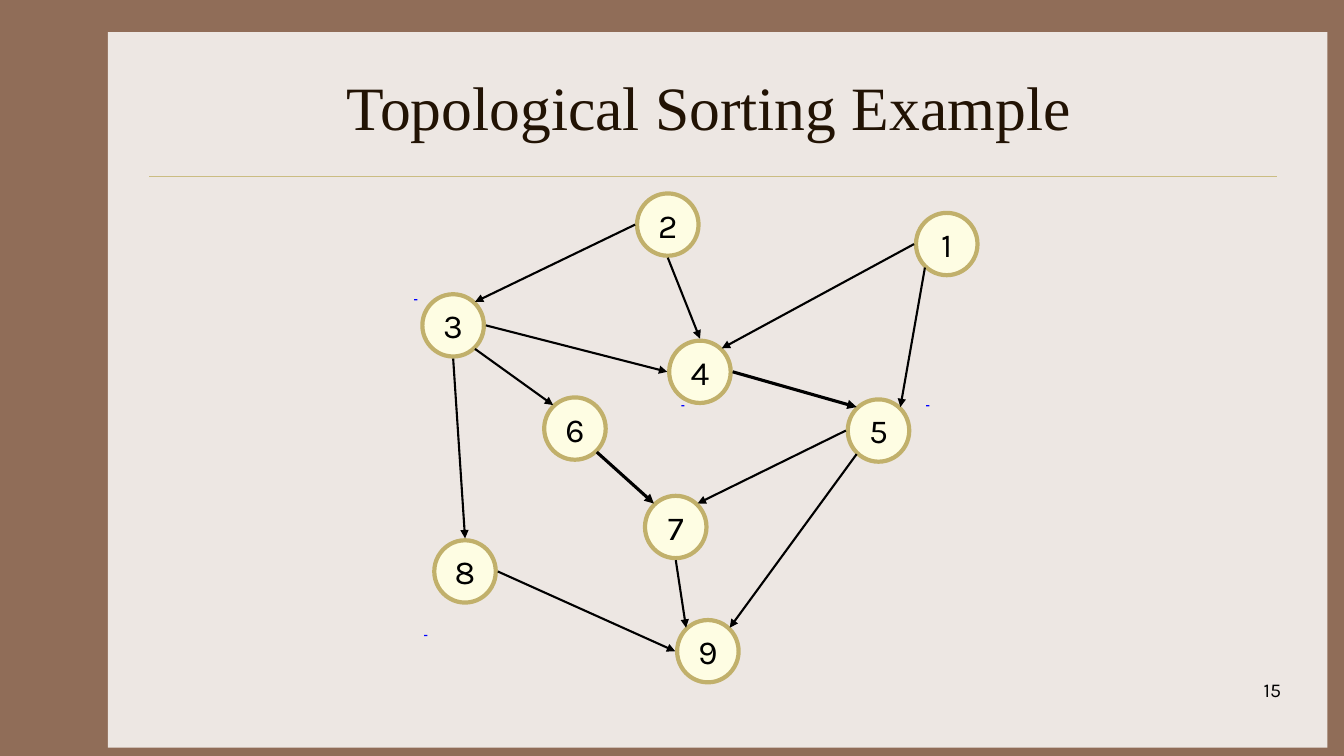
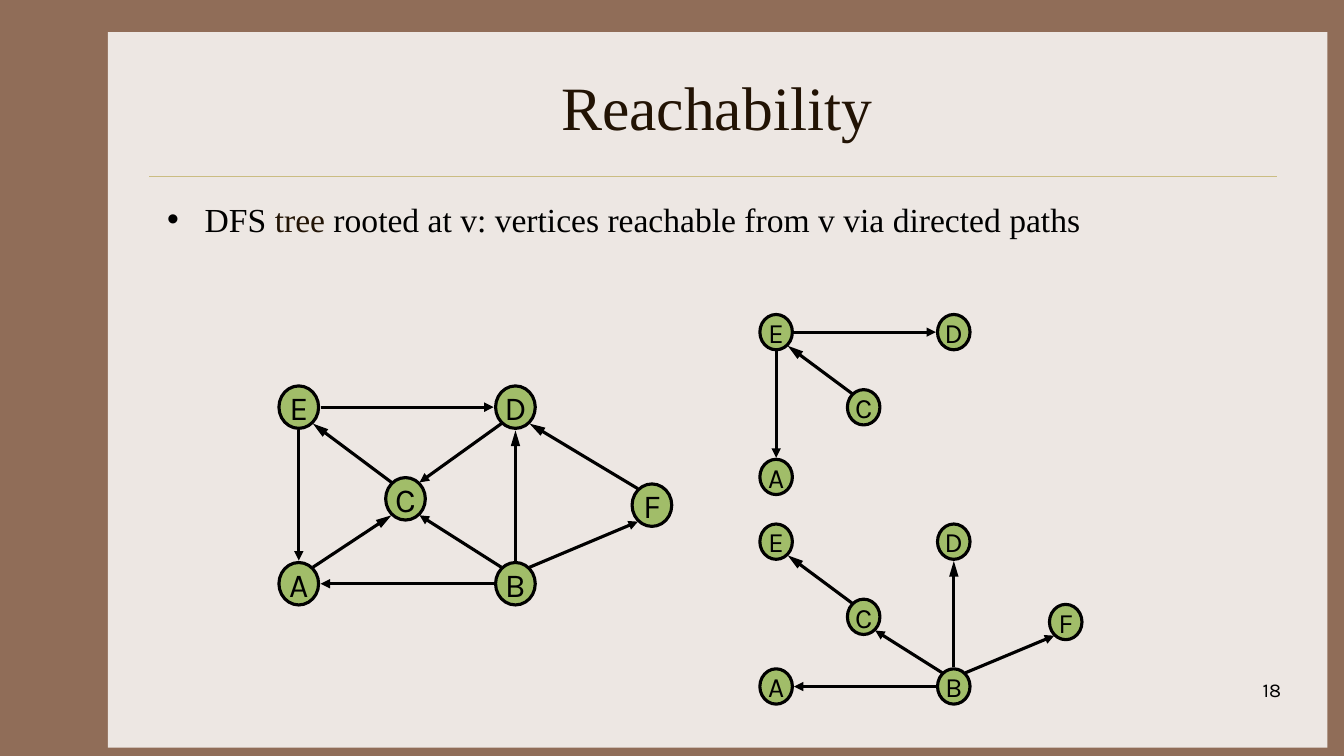
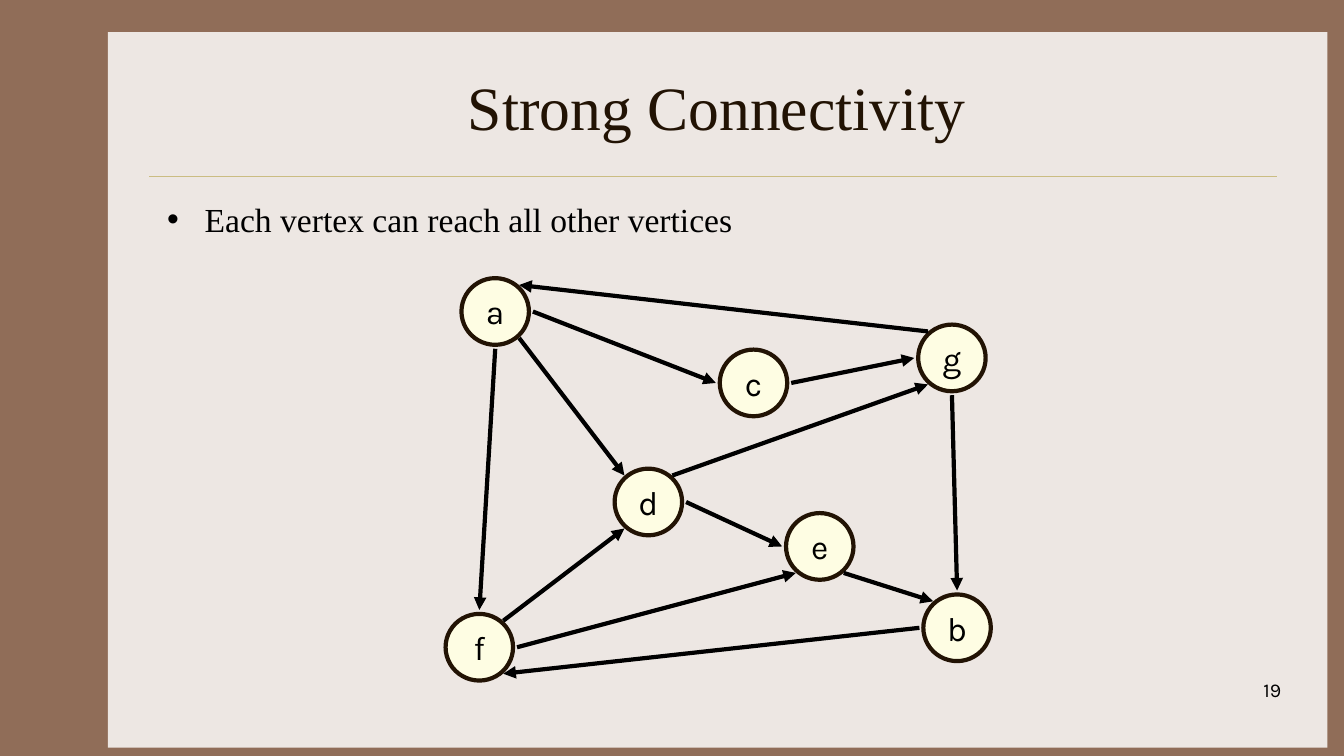
"""Build three slides on directed graphs."""
from pptx import Presentation
from pptx.dml.color import RGBColor
from pptx.enum.shapes import MSO_CONNECTOR, MSO_SHAPE
from pptx.enum.text import MSO_ANCHOR, MSO_AUTO_SIZE, PP_ALIGN
from pptx.oxml.ns import qn
from pptx.util import Cm, Pt
from lxml import etree

STRAIGHT = MSO_CONNECTOR.STRAIGHT
OVAL, RECTANGLE = MSO_SHAPE.OVAL, MSO_SHAPE.RECTANGLE
MIDDLE, NO_FIT = MSO_ANCHOR.MIDDLE, MSO_AUTO_SIZE.NONE
LEFT, CENTER, RIGHT = PP_ALIGN.LEFT, PP_ALIGN.CENTER, PP_ALIGN.RIGHT

COLORS = {
    "frame": "906D58", "panel": "EDE7E3", "rule": "CBBD83",
    "dark": "221304", "black": "000000", "cream": "FEFDE3",
    "gold": "C1B06B", "green": "A1BD69", "blue": "0000FF",
}
SERIF, SANS = "Times New Roman", "Karla"

PANEL = (2.72, 0.81, 30.73, 18.03)
RULE = (3.76, 4.45, 32.18, 4.45)
TITLE = (3.96, 1.07, 28.22, 3.18)
BODY = (3.96, 4.88, 28.22, 11.43)
NUMBER = (25.48, 16.97, 7.06, 1.27)

SPECK_SIZE = (0.08, 0.03)
SPECKS = [(10.44, 7.54), (17.17, 10.21), (23.34, 10.21), (10.69, 16.0)]

TITLE_FRAME = {"word_wrap": True, "auto_size": NO_FIT,
               "vertical_anchor": MIDDLE}
VERTEX_FRAME = {"word_wrap": False, "vertical_anchor": MIDDLE,
                "margin_left": 0, "margin_right": 0,
                "margin_top": 0, "margin_bottom": 0}

STYLES = {
    "order": {"size": (1.55, 1.57), "gap": 0.05, "fill": "cream",
              "outline": "gold", "border": 3, "edge": 1.5, "text": 24},
    "reach": {"size": (1.0, 1.07), "gap": 0.05, "fill": "green",
              "outline": "black", "border": 2.25, "edge": 2.25, "text": 24},
    "strong": {"size": (1.7, 1.68), "gap": 0.1, "fill": "cream",
               "outline": "dark", "border": 3, "edge": 3, "text": 24},
}
STYLES["subtree"] = {**STYLES["reach"], "size": (0.82, 0.89), "gap": 0.04,
                     "text": 20}

ORDER_NODES = {
    "1": (23.86, 6.15), "2": (16.83, 5.66), "3": (11.42, 8.2),
    "4": (17.64, 9.37), "5": (22.14, 10.85), "6": (14.49, 10.8),
    "7": (17.03, 13.28), "8": (11.72, 14.4), "9": (17.84, 16.41),
}
ORDER_EDGES = [
    "2 w 3 ne", "2 s 4 n", "1 w 4 ne", "5 w 7 ne", "5 sw 9 ne", "8 e 9 w",
    "7 s 9 nw", "6 se 7 nw", "3 se 6 nw", "3 s 8 n", "3 e 4 w", "4 e 5 nw",
    "1 sw 5 ne",
]
HEAVY_EDGES = {"6 se 7 nw", "4 e 5 nw"}

REACH_NODES = {
    "A": (0, 4.45), "B": (5.46, 4.45), "C": (2.69, 2.31),
    "D": (5.46, 0), "E": (0, 0), "F": (8.9, 2.47),
}
REACH_EDGES = [
    "F nw D se", "B w A e", "C nw E se", "E e D w", "B n D s", "A ne C sw",
    "D sw C ne", "E s A n", "B ne F sw", "B nw C se",
]
FROM_C = ["C nw E se", "E e D w", "E s A n"]
FROM_B = ["B w A e", "C nw E se", "B n D s", "B ne F sw", "B nw C se"]
LONG_HEADS = {"F nw D se", "C nw E se", "B n D s", "A ne C sw"}

STRONG_NODES = {
    "a": (12.48, 7.85), "b": (24.12, 15.82), "c": (18.99, 9.65),
    "d": (16.34, 12.65), "e": (20.66, 13.77), "f": (12.08, 16.31),
    "g": (23.99, 9.02),
}
STRONG_EDGES = [
    "a s f n", "a se d nw", "a e c w", "g nw a ne", "c e g w", "g s b n",
    "d e e w", "e se b nw", "f ne d sw", "f e e sw", "b w f se", "d ne g sw",
]


def place(names, origin, scale):
    """Give the chosen reachability vertices their places on the slide."""
    return {name: tuple(start + scale * step for start, step
                        in zip(origin, REACH_NODES[name])) for name in names}


SLIDES = [
    {"title": "Topological Sorting Example ", "number": "15", "body": [],
     "specks": SPECKS, "graphs": [("order", ORDER_NODES, ORDER_EDGES)]},
    {"title": "Reachability", "number": "18",
     "body": [("DFS ", "black"), ("tree", "dark"),
              (" rooted at v: vertices reachable from v via directed paths",
               "black")],
     "specks": [],
     "graphs": [
         ("reach", place("ABCDEF", (7.53, 10.26), 1), REACH_EDGES),
         ("subtree", place("ACDE", (19.56, 8.37), 0.82), FROM_C),
         ("subtree", place("ABCDEF", (19.56, 13.65), 0.82), FROM_B)]},
    {"title": "Strong Connectivity", "number": "19",
     "body": [("Each vertex can reach all other vertices", "black")],
     "specks": [], "graphs": [("strong", STRONG_NODES, STRONG_EDGES)]},
]


def color(name):
    return RGBColor.from_string(COLORS[name])


def lengths(values):
    return [Cm(value) for value in values]


def apply(target, values):
    for key, value in values.items():
        setattr(target, key, value)


def write(para, spans, font, size, align):
    """Fill a paragraph with coloured spans of text."""
    para.alignment = align
    for text, shade in spans:
        span = para.add_run()
        span.text = text
        apply(span.font, {"name": font, "size": Pt(size), "bold": False})
        span.font.color.rgb = color(shade)


def add_shape(page, kind, box, fill, outline=None, border=0):
    shape = page.shapes.add_shape(kind, *lengths(box))
    shape.shadow.inherit = False
    shape.fill.solid()
    shape.fill.fore_color.rgb = color(fill)
    if outline:
        shape.line.color.rgb = color(outline)
        shape.line.width = Pt(border)
    else:
        shape.line.fill.background()
    return shape


def add_line(page, ends, shade, width):
    line = page.shapes.add_connector(STRAIGHT, *lengths(ends))
    line.line.color.rgb = color(shade)
    line.line.width = Pt(width)
    etree.SubElement(line._element.spPr, qn("a:effectLst"))
    return line


def add_text(page, box, spans, font, size, align):
    frame = page.shapes.add_textbox(*lengths(box)).text_frame
    frame.word_wrap = True
    write(frame.paragraphs[0], spans, font, size, align)
    return frame.paragraphs[0]


def add_bullet(para):
    props = para._p.get_or_add_pPr()
    props.set("marL", str(Cm(0.95)))
    props.set("indent", str(-Cm(0.95)))
    etree.SubElement(props, qn("a:buFont"), typeface="Arial")
    etree.SubElement(props, qn("a:buChar"), char="•")


def site(center, side, style):
    """Find the point beside a vertex on the given compass side."""
    half_width, half_height = (length / 2 for length in style["size"])
    across = ("e" in side) - ("w" in side)
    down = ("s" in side) - ("n" in side)
    reach_x, reach_y = half_width + style["gap"], half_height + style["gap"]
    if across and down:
        reach_x, reach_y = half_width * 0.71, reach_y * 0.71
    return center[0] + across * reach_x, center[1] + down * reach_y


def add_graph(page, style_name, nodes, edges):
    """Draw the lettered vertices and the arrows between them."""
    style = STYLES[style_name]
    width, height = style["size"]
    for name, (x, y) in nodes.items():
        box = (x - width / 2, y - height / 2, width, height)
        vertex = add_shape(page, OVAL, box, style["fill"], style["outline"],
                           style["border"])
        frame = vertex.text_frame
        apply(frame, VERTEX_FRAME)
        write(frame.paragraphs[0], [(name, "black")], SANS, style["text"],
              CENTER)
    for edge in edges:
        source, leave, target, enter = edge.split()
        ends = site(nodes[source], leave, style) + site(nodes[target], enter, style)
        weight = 2.25 if edge in HEAVY_EDGES else style["edge"]
        arrow = add_line(page, ends, "black", weight)
        etree.SubElement(arrow.line._get_or_add_ln(), qn("a:tailEnd"),
                         type="triangle", w="med",
                         len="lg" if edge in LONG_HEADS else "med")


def prepare_layout(layout, page):
    """Draw the panel and rule once and hand them to the layout."""
    parts = [add_shape(page, RECTANGLE, PANEL, "panel"),
             add_line(page, RULE, "rule", 0.25)]
    for index, part in enumerate(parts, start=2):
        layout.shapes._spTree.insert(index, part._element)
    sides = ("left", "top", "width", "height")
    apply(layout.placeholders[0], dict(zip(sides, lengths(TITLE))))


def add_slide(page, content):
    frame = page.shapes.title.text_frame
    apply(frame, TITLE_FRAME)
    write(frame.paragraphs[0], [(content["title"], "dark")], SERIF, 44, CENTER)
    if content["body"]:
        add_bullet(add_text(page, BODY, content["body"], SERIF, 24, LEFT))
    add_text(page, NUMBER, [(content["number"], "black")], SANS, 14, RIGHT)
    for speck in content["specks"]:
        add_shape(page, RECTANGLE, speck + SPECK_SIZE, "blue")
    for graph in content["graphs"]:
        add_graph(page, *graph)


def main():
    deck = Presentation()
    deck.slide_width, deck.slide_height = Cm(33.87), Cm(19.05)
    background = deck.slide_master.background.fill
    background.solid()
    background.fore_color.rgb = color("frame")
    layout = deck.slide_layouts[5]
    pages = [deck.slides.add_slide(layout) for _ in SLIDES]
    prepare_layout(layout, pages[0])
    for page, content in zip(pages, SLIDES):
        add_slide(page, content)
    deck.save("out.pptx")


if __name__ == "__main__":
    main()
